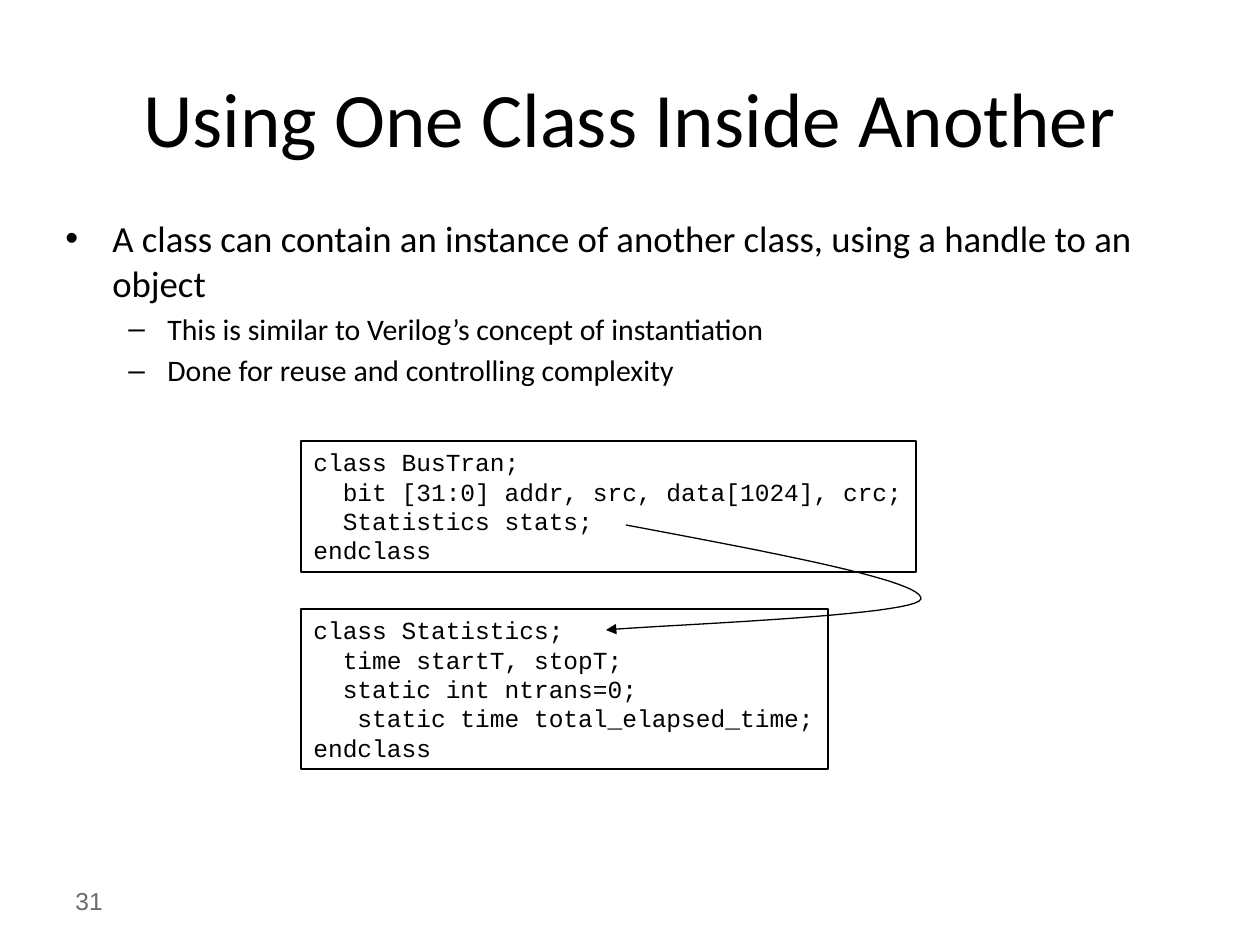
from lxml import etree
from pptx import Presentation
from pptx.dml.color import RGBColor
from pptx.enum.shapes import MSO_SHAPE
from pptx.enum.text import MSO_ANCHOR, MSO_AUTO_SIZE, PP_ALIGN
from pptx.oxml.ns import qn
from pptx.util import Emu, Pt

RECT = MSO_SHAPE.RECTANGLE
TOP, MIDDLE = MSO_ANCHOR.TOP, MSO_ANCHOR.MIDDLE
LEFT, CENTER = PP_ALIGN.LEFT, PP_ALIGN.CENTER
FIT = MSO_AUTO_SIZE.SHAPE_TO_FIT_TEXT
COLORS = {"ink": "000000", "number": "6B6B6B"}
SCALE = 914400 / 126  # EMU per px

# Content
TITLE = "Using One Class Inside Another"
NUMBER = "31"
BULLETS = [  # level, text
    (0, "A class can contain an instance of another class, using a handle to an object"),
    (1, "This is similar to Verilog’s concept of instantiation"),
    (1, "Done for reuse and controlling complexity"),
]
LEVELS = [  # bullet, size, left margin, hanging indent
    ("•", 21, 47, 47),
    ("–", 17, 102, 39),
]
CODE_BOXES = [  # left, top, width, height, lines
    (301, 609, 527, 160, [
        "class Statistics;",
        "  time startT, stopT;",
        "  static int ntrans=0;",
        "   static time total_elapsed_time;",
        "endclass",
    ]),
    (301, 441, 615, 131, [
        "class BusTran;",
        "  bit [31:0] addr, src, data[1024], crc;",
        "  Statistics stats;",
        "endclass",
    ]),
]
# Handle arrow: two cubic curves sharing their middle point
ARROW = [
    [(626, 525), (775, 553), (924, 581), (921, 599)],
    [(921, 599), (917, 616), (658, 625), (606, 630)],
]
STEPS = 24  # straight pieces per curve


def px(n):
    return Emu(round(n * SCALE))


def rgb(name):
    return RGBColor.from_string(COLORS[name])


def add_text(p, text, size=14, font="Calibri", color="ink", align=LEFT):
    p.alignment = align
    r = p.add_run()
    r.text = text
    r.font.size, r.font.name = Pt(size), font
    r.font.color.rgb = rgb(color)


def add_box(s, left, top, width, height, anchor=TOP):
    sp = s.shapes.add_textbox(px(left), px(top), px(width), px(height))
    tf = sp.text_frame
    tf.word_wrap, tf.vertical_anchor = True, anchor
    return tf


def next_paragraph(tf, i):
    return tf.add_paragraph() if i else tf.paragraphs[0]


def set_bullet(p, char, margin, hang):
    pPr = p._p.get_or_add_pPr()
    pPr.set("marL", str(px(margin)))
    pPr.set("indent", str(-px(hang)))
    etree.SubElement(pPr, qn("a:buFont")).set("typeface", "Arial")
    etree.SubElement(pPr, qn("a:buChar")).set("char", char)


def outline(sp):
    sp.shadow.inherit = False
    sp.fill.background()
    sp.line.color.rgb = rgb("ink")
    sp.line.width = Pt(0.75)


def bezier(points, t):
    weights = ((1 - t) ** 3, 3 * t * (1 - t) ** 2, 3 * t * t * (1 - t), t ** 3)
    return tuple(sum(w * c for w, c in zip(weights, axis)) for axis in zip(*points))


prs = Presentation()
prs.slide_width, prs.slide_height = px(1260), px(945)
s = prs.slides.add_slide(prs.slide_layouts[6])

# Slide number and title
add_text(add_box(s, 63, 876, 294, 50, MIDDLE).paragraphs[0], NUMBER,
         font="Arial", color="number")
add_text(add_box(s, 63, 38, 1134, 157, MIDDLE).paragraphs[0], TITLE,
         size=44, align=CENTER)

# Bullets
tf = add_box(s, 53, 210, 1134, 624)
for i, (level, text) in enumerate(BULLETS):
    char, size, margin, hang = LEVELS[level]
    p = next_paragraph(tf, i)
    p.level = level
    p.space_before = Pt(round(size * 0.2, 1))
    add_text(p, text, size=size)
    set_bullet(p, char, margin, hang)

# Code boxes
for left, top, width, height, lines in CODE_BOXES:
    sp = s.shapes.add_shape(RECT, px(left), px(top), px(width), px(height))
    outline(sp)
    tf = sp.text_frame
    tf.word_wrap, tf.auto_size, tf.vertical_anchor = False, FIT, TOP
    for i, line in enumerate(lines):
        add_text(next_paragraph(tf, i), line, font="Courier New")

# Arrow from the handle to its class
points = [bezier(curve, k / STEPS) for curve in ARROW for k in range(1, STEPS + 1)]
builder = s.shapes.build_freeform(*(px(c) for c in ARROW[0][0]))
builder.add_line_segments([(px(x), px(y)) for x, y in points], close=False)
sp = builder.convert_to_shape()
outline(sp)
etree.SubElement(sp.line._get_or_add_ln(), qn("a:tailEnd")).set("type", "triangle")

prs.save("out.pptx")
